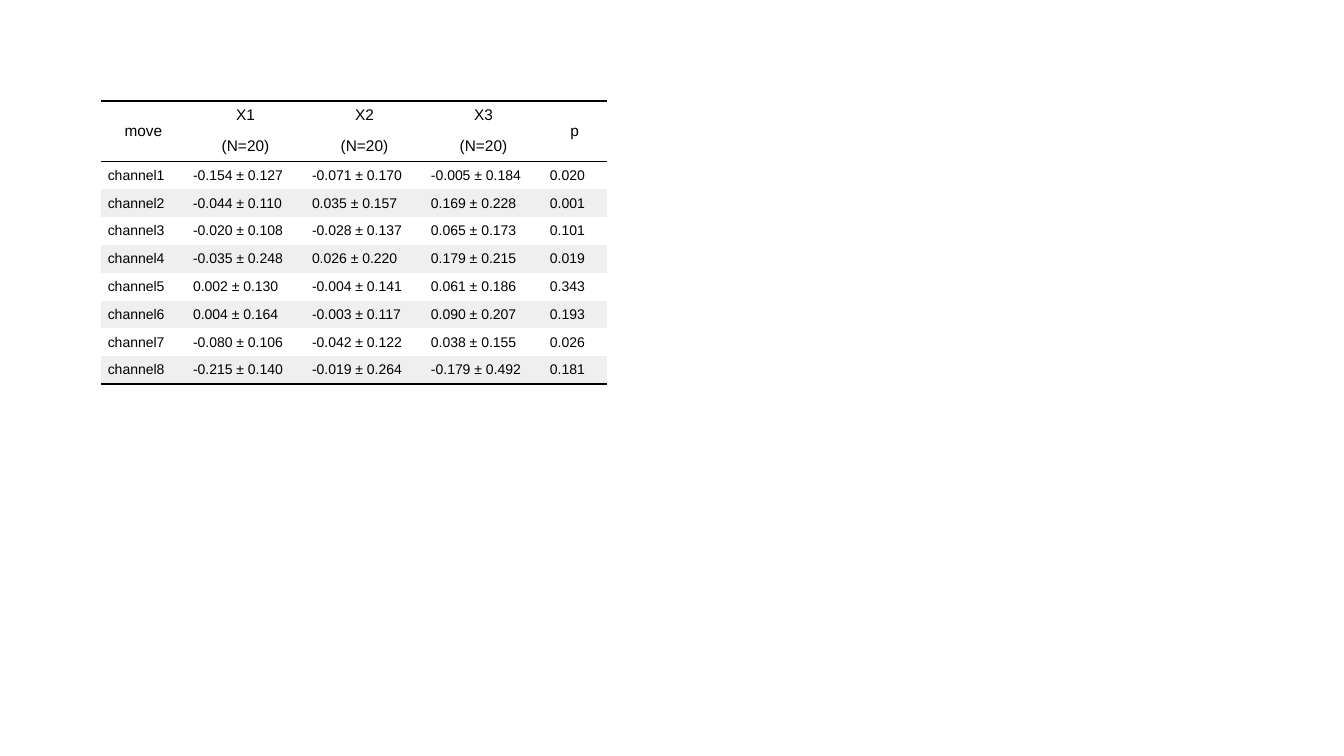
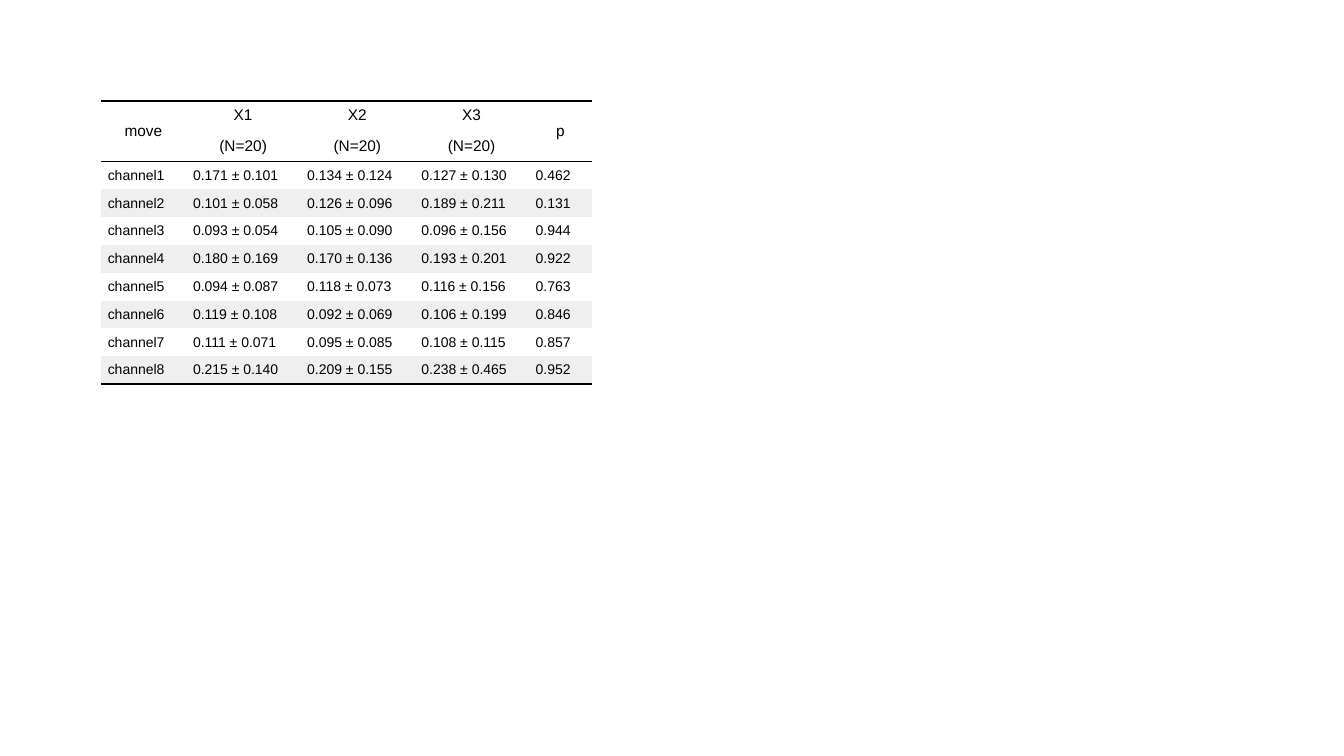
from dataclasses import dataclass

from lxml.etree import SubElement
from pptx import Presentation
from pptx.dml.color import RGBColor
from pptx.enum.text import MSO_ANCHOR, PP_ALIGN
from pptx.oxml import parse_xml
from pptx.oxml.ns import nsdecls, qn
from pptx.util import Pt


@dataclass(frozen=True)
class Theme:
    ink: str = "000000"
    band: str = "EFEFEF"
    font: str = "Arial"
    header_size: float = 11
    body_size: float = 10
    thick_rule: float = 2
    thin_rule: float = 1
    padding_x: float = 5
    padding_y: float = 2


THEME = Theme()
PLAIN_TABLE_STYLE = "{2D5ABB26-0587-4C30-8999-92F81FD0307C}"

SLIDE_WIDTH, SLIDE_HEIGHT = 960, 540
TABLE_LEFT = TABLE_TOP = 72
HEADER_HEIGHTS = [20.8, 22.7]
BODY_HEIGHT = 19.85
CHANNEL_WIDTH, P_WIDTH = 60.9, 45.4

HEADER = [
    ["move", "X1", "X2", "X3", "p"],
    ["", "(N=20)", "(N=20)", "(N=20)", ""],
]

SIGNED_MEANS = [
    ["-0.154 ± 0.127", "-0.071 ± 0.170", "-0.005 ± 0.184", "0.020"],
    ["-0.044 ± 0.110", "0.035 ± 0.157", "0.169 ± 0.228", "0.001"],
    ["-0.020 ± 0.108", "-0.028 ± 0.137", "0.065 ± 0.173", "0.101"],
    ["-0.035 ± 0.248", "0.026 ± 0.220", "0.179 ± 0.215", "0.019"],
    ["0.002 ± 0.130", "-0.004 ± 0.141", "0.061 ± 0.186", "0.343"],
    ["0.004 ± 0.164", "-0.003 ± 0.117", "0.090 ± 0.207", "0.193"],
    ["-0.080 ± 0.106", "-0.042 ± 0.122", "0.038 ± 0.155", "0.026"],
    ["-0.215 ± 0.140", "-0.019 ± 0.264", "-0.179 ± 0.492", "0.181"],
]

ABSOLUTE_MEANS = [
    ["0.171 ± 0.101", "0.134 ± 0.124", "0.127 ± 0.130", "0.462"],
    ["0.101 ± 0.058", "0.126 ± 0.096", "0.189 ± 0.211", "0.131"],
    ["0.093 ± 0.054", "0.105 ± 0.090", "0.096 ± 0.156", "0.944"],
    ["0.180 ± 0.169", "0.170 ± 0.136", "0.193 ± 0.201", "0.922"],
    ["0.094 ± 0.087", "0.118 ± 0.073", "0.116 ± 0.156", "0.763"],
    ["0.119 ± 0.108", "0.092 ± 0.069", "0.106 ± 0.199", "0.846"],
    ["0.111 ± 0.071", "0.095 ± 0.085", "0.108 ± 0.115", "0.857"],
    ["0.215 ± 0.140", "0.209 ± 0.155", "0.238 ± 0.465", "0.952"],
]


def write_cell(cell, text, size, align):
    cell.vertical_anchor = MSO_ANCHOR.MIDDLE
    cell.margin_left = cell.margin_right = Pt(0)
    cell.margin_top = cell.margin_bottom = Pt(THEME.padding_y)
    paragraph = cell.text_frame.paragraphs[0]
    paragraph.text = text
    paragraph.alignment = align
    paragraph.space_before = paragraph.space_after = Pt(THEME.padding_y)
    paragraph.font.name = THEME.font
    paragraph.font.size = Pt(size)
    paragraph.font.color.rgb = RGBColor.from_string(THEME.ink)
    properties = paragraph._p.get_or_add_pPr()
    for side in ("marL", "marR"):
        properties.set(side, str(Pt(THEME.padding_x)))
    properties.set("indent", "0")


def fill_cell(cell, banded):
    if banded:
        cell.fill.solid()
        cell.fill.fore_color.rgb = RGBColor.from_string(THEME.band)
    else:
        cell.fill.background()


def rule_row(table, row, edge, width):
    for cell in table.rows[row].cells:
        line = parse_xml(f'<a:{edge} {nsdecls("a")} w="{Pt(width)}"/>')
        fill = SubElement(line, qn("a:solidFill"))
        SubElement(fill, qn("a:srgbClr"), val=THEME.ink)
        cell._tc.get_or_add_tcPr().insert(0, line)


def merge_header_ends(table):
    for column in (0, len(table.columns) - 1):
        table.cell(0, column).merge(table.cell(1, column))
        bottom_rule = parse_xml(
            f'<a:lnB {nsdecls("a")} w="{Pt(THEME.thin_rule)}"><a:solidFill>'
            f'<a:srgbClr val="{THEME.ink}"/></a:solidFill></a:lnB>')
        table.cell(0, column)._tc.get_or_add_tcPr().insert(1, bottom_rule)


def add_results_table(slide, results, mean_width):
    channels = [[f"channel{number}", *values]
                for number, values in enumerate(results, 1)]
    rows = HEADER + channels
    widths = [CHANNEL_WIDTH, *[mean_width] * 3, P_WIDTH]
    heights = HEADER_HEIGHTS + [BODY_HEIGHT] * len(channels)
    table = slide.shapes.add_table(
        len(rows), len(widths), Pt(TABLE_LEFT), Pt(TABLE_TOP),
        Pt(sum(widths)), Pt(sum(heights))).table
    table.first_row = table.horz_banding = False
    table._tbl.tblPr.find(qn("a:tableStyleId")).text = PLAIN_TABLE_STYLE

    for column, width in zip(table.columns, widths):
        column.width = Pt(width)
    for index, (row, height, texts) in enumerate(zip(table.rows, heights, rows)):
        row.height = Pt(height)
        is_header = index < len(HEADER)
        size = THEME.header_size if is_header else THEME.body_size
        align = PP_ALIGN.CENTER if is_header else PP_ALIGN.LEFT
        for cell, text in zip(row.cells, texts):
            write_cell(cell, text, size, align)
            fill_cell(cell, not is_header and index % 2 == 1)

    rule_row(table, 0, "lnT", THEME.thick_rule)
    rule_row(table, len(HEADER) - 1, "lnB", THEME.thin_rule)
    rule_row(table, len(rows) - 1, "lnB", THEME.thick_rule)
    merge_header_ends(table)


def main():
    deck = Presentation()
    deck.slide_width, deck.slide_height = Pt(SLIDE_WIDTH), Pt(SLIDE_HEIGHT)
    for results, mean_width in ((SIGNED_MEANS, 85), (ABSOLUTE_MEANS, 81.6)):
        slide = deck.slides.add_slide(deck.slide_layouts[6])
        add_results_table(slide, results, mean_width)
    deck.save("out.pptx")


if __name__ == "__main__":
    main()
